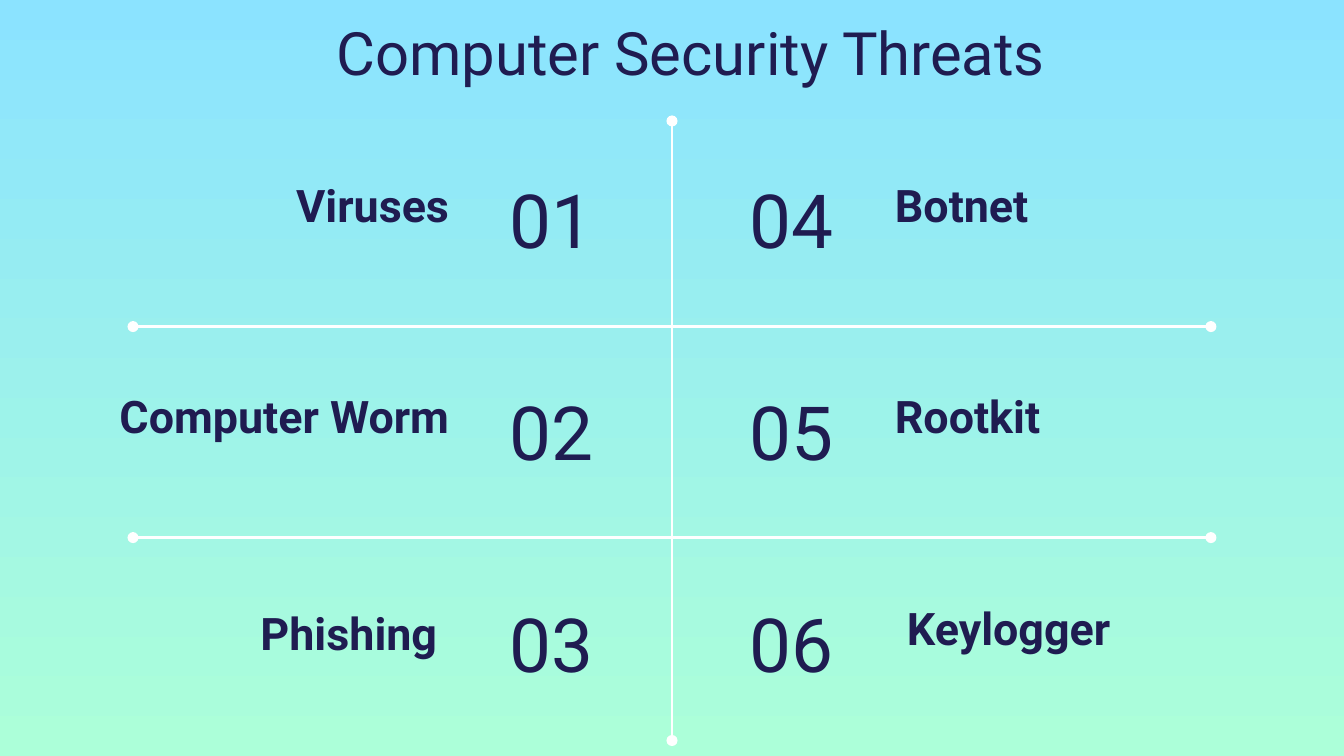
"""Build a slide listing six computer security threats in a ruled grid."""
import pptx
import pptx.dml.color
import pptx.enum.shapes
import pptx.enum.text
import pptx.util
from lxml import etree

Inches = pptx.util.Inches
Color = pptx.dml.color.RGBColor.from_string
Align = pptx.enum.text.PP_ALIGN
Anchor = pptx.enum.text.MSO_ANCHOR
HUES = {"sky": "8BE3FF", "mint": "ACFFD9", "ink": "1F1C51", "rule": "FFFFFF"}
NS = "http://schemas.openxmlformats.org/drawingml/2006/main"

deck = pptx.Presentation()
deck.slide_width, deck.slide_height = Inches(10), Inches(10 * 9 / 16)
slide = deck.slides.add_slide(deck.slide_layouts[6])

back = slide.background.fill
back.gradient()
back.gradient_angle = 270
for stop, hue in zip(back.gradient_stops, ("sky", "mint")):
    stop.color.rgb = Color(HUES[hue])


def write(text, box, size, bold=False, align=Align.LEFT, anchor=Anchor.MIDDLE):
    frame = slide.shapes.add_textbox(*map(Inches, box)).text_frame
    frame.word_wrap = True
    frame.vertical_anchor = anchor
    frame.margin_left = frame.margin_right = Inches(0.1)
    frame.margin_top = frame.margin_bottom = Inches(0.1)
    para = frame.paragraphs[0]
    para.alignment = align
    run = para.add_run()
    run.text = text
    run.font.name = "Roboto"
    run.font.size = pptx.util.Pt(size)
    run.font.bold = bold
    run.font.color.rgb = Color(HUES["ink"])


rules = [(5, 0.9, 5, 5.51), (0.99, 2.43, 9.01, 2.43), (0.99, 4, 9.01, 4)]
for ends in rules:
    rule = slide.shapes.add_connector(
        pptx.enum.shapes.MSO_CONNECTOR.STRAIGHT, *map(Inches, ends))
    rule.line.color.rgb = Color(HUES["rule"])
    rule.line.width = pptx.util.Pt(1.5)
    props = rule._element.spPr
    stroke = props.find(f"{{{NS}}}ln")
    for tag in ("headEnd", "tailEnd"):
        etree.SubElement(stroke, f"{{{NS}}}{tag}", type="oval")
    etree.SubElement(props, f"{{{NS}}}effectLst")

sides = [
    (3.69, Align.LEFT, Align.RIGHT,
     [("Viruses", 0.46, 1.32), ("Computer Worm", 0.46, 2.89),
      ("Phishing", 0.37, 4.51)]),
    (5, Align.RIGHT, Align.LEFT,
     [("Botnet", 6.56, 1.32), ("Rootkit", 6.56, 2.89),
      ("Keylogger", 6.65, 4.47)]),
]
count = 0
for left, inner, outer, threats in sides:
    for row, (name, x, y) in enumerate(threats):
        count += 1
        write(f"{count:02}", (left, 1.2 + 3.15 / 2 * row, 1.3, 0.86), 40,
              align=inner)
        write(name, (x, y, 2.98, 0.5), 24, bold=True, align=outer,
              anchor=Anchor.BOTTOM)

write("Computer Security Threats", (1.23, 0.02, 6.65, 0.59), 32,
      align=Align.RIGHT, anchor=Anchor.TOP)

deck.save("out.pptx")
